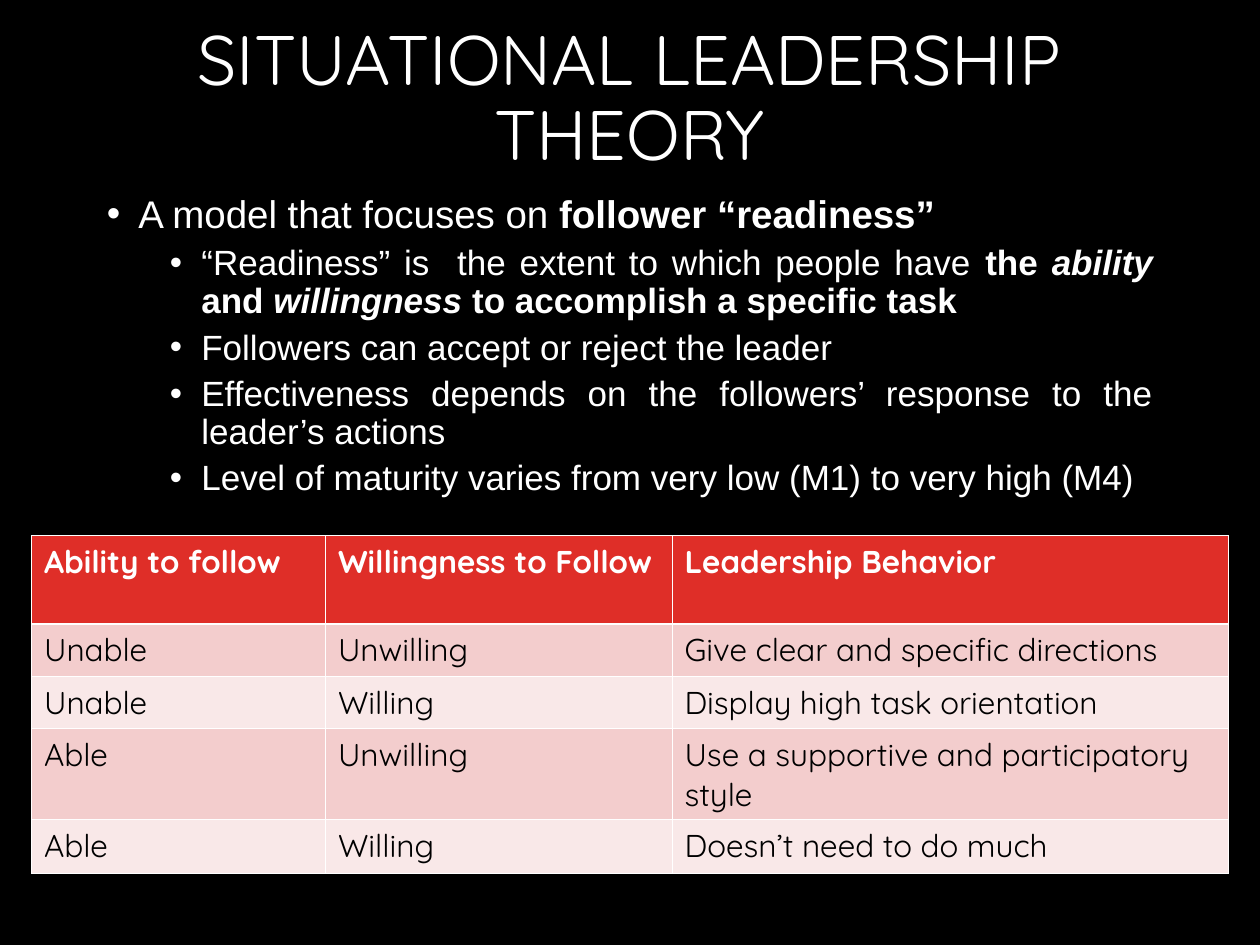
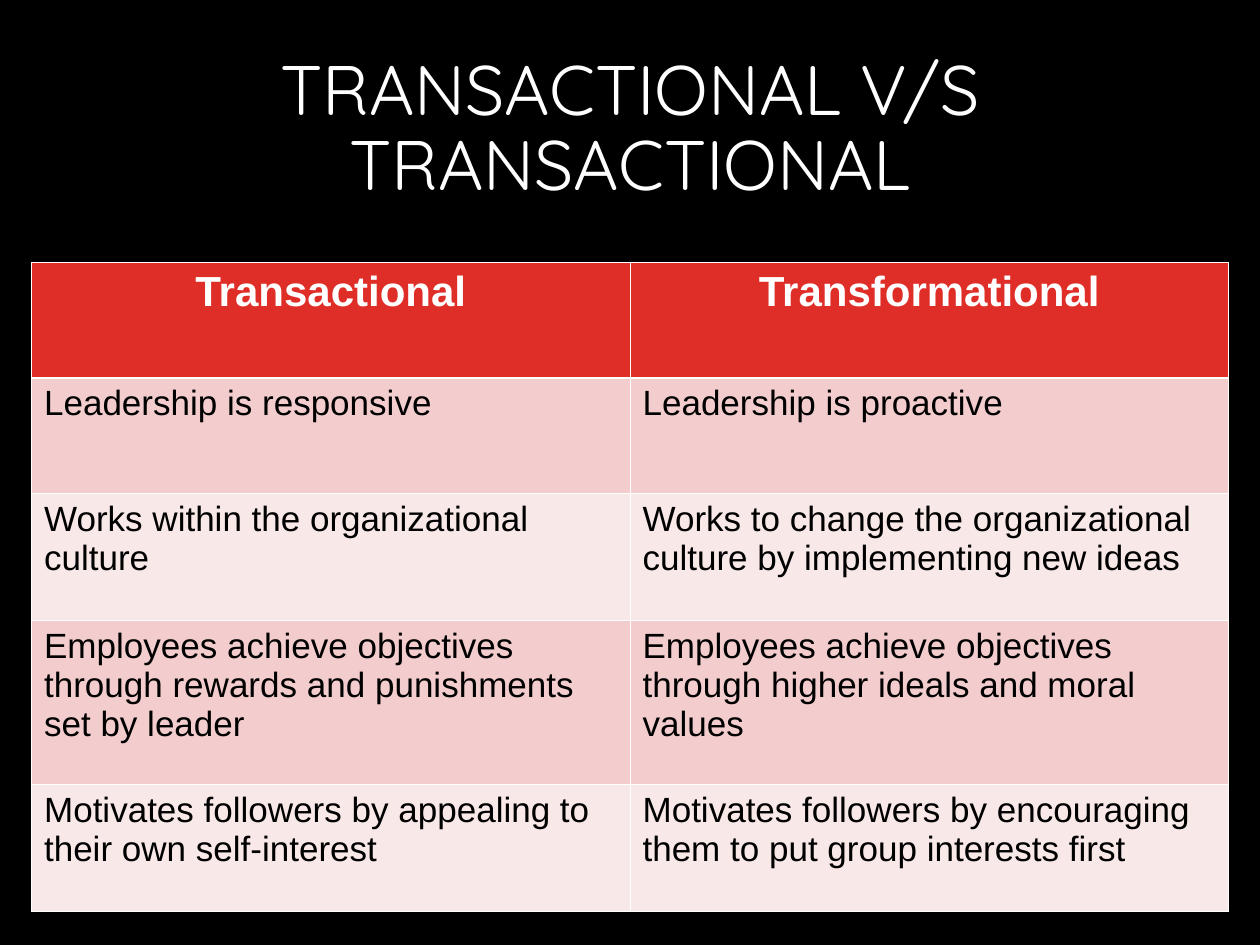
"""Build two slides on leadership theories, each with a title and a table."""
import pptx
import pptx.util
import pptx.oxml
import pptx.oxml.ns
import pptx.dml.color
import pptx.enum.text
import lxml.etree

Pt = pptx.util.Pt
RGBColor = pptx.dml.color.RGBColor
Align = pptx.enum.text.PP_ALIGN
qn = pptx.oxml.ns.qn

BLACK = RGBColor(0x00, 0x00, 0x00)
WHITE = RGBColor(0xFF, 0xFF, 0xFF)
RED = RGBColor(0xDF, 0x2E, 0x28)
ROSE = RGBColor(0xF3, 0xCD, 0xCD)
PALE = RGBColor(0xF9, 0xE8, 0xE8)
SANS = "Arial"
ROUND = "Quicksand"

titles = [
    ("SITUATIONAL LEADERSHIP THEORY", (28.8, 6.5, 661.7, 101.5)),
    ("TRANSACTIONAL V/S TRANSACTIONAL", (0, 23.8, 720, 101.5)),
]

points = [
    (0, [("A model that focuses on ", ""), ("follower “readiness”", "b")]),
    (1, [("“Readiness” is  the extent to which people have ", ""), ("the ", "b"),
         ("ability", "bi"), (" and ", "b"), ("willingness", "bi"),
         (" to accomplish a specific task", "b")]),
    (1, [("Followers can accept or reject the leader", "")]),
    (1, [("Effectiveness depends on the followers’ response to the leader’s actions", "")]),
    (1, [("Level of maturity varies from very low (M1) to very high (M4)", "")]),
]

grids = [
    dict(top=306, cols=[168, 198, 318], rows=[50.5, 30, 30, 52, 30.5],
         face=ROUND, sizes=(18, 18), head=Align.LEFT, cells=[
             ("Ability to follow", "Willingness to Follow", "Leadership Behavior"),
             ("Unable", "Unwilling", "Give clear and specific directions"),
             ("Unable", "Willing", "Display high task orientation"),
             ("Able", "Unwilling", "Use a supportive and participatory style"),
             ("Able", "Willing", "Doesn’t need to do much")]),
    dict(top=150, cols=[342, 342], rows=[66, 66, 72.5, 94, 72.5],
         face=SANS, sizes=(24, 20), head=Align.CENTER, cells=[
             ("Transactional", "Transformational"),
             ("Leadership is responsive", "Leadership is proactive"),
             ("Works within the organizational culture",
              "Works to change the organizational culture by implementing new ideas"),
             ("Employees achieve objectives through rewards and punishments set by leader",
              "Employees achieve objectives through higher ideals and moral values"),
             ("Motivates followers by appealing to their own self-interest",
              "Motivates followers by encouraging them to put group interests first")]),
]


def style(para, face, size, color, bold=False):
    font = para.font
    font.name = face
    font.size = Pt(size)
    font.bold = bold
    font.color.rgb = color


def add_text(slide, box):
    frame = slide.shapes.add_textbox(*[Pt(v) for v in box]).text_frame
    frame.word_wrap = True
    return frame


deck = pptx.Presentation()
deck.slide_width = Pt(720)
deck.slide_height = Pt(540)

for (title, box), grid in zip(titles, grids):
    slide = deck.slides.add_slide(deck.slide_layouts[6])
    slide.background.fill.solid()
    slide.background.fill.fore_color.rgb = BLACK

    frame = add_text(slide, box)
    frame.vertical_anchor = pptx.enum.text.MSO_ANCHOR.MIDDLE
    para = frame.paragraphs[0]
    para.text = title
    para.alignment = Align.CENTER
    para.line_spacing = 0.9
    style(para, ROUND, 40, WHITE)

    count = len(grid["rows"])
    table = slide.shapes.add_table(
        count, len(grid["cols"]), Pt(18), Pt(grid["top"]),
        Pt(sum(grid["cols"])), Pt(sum(grid["rows"]))).table
    for col, width in zip(table.columns, grid["cols"]):
        col.width = Pt(width)
    for row, high in enumerate(grid["rows"]):
        table.rows[row].height = Pt(high)
        top = row == 0
        for col, text in enumerate(grid["cells"][row]):
            cell = table.cell(row, col)
            cell.fill.solid()
            cell.fill.fore_color.rgb = RED if top else ROSE if row % 2 else PALE
            para = cell.text_frame.paragraphs[0]
            para.text = text
            para.alignment = grid["head"] if top else Align.LEFT
            style(para, grid["face"], grid["sizes"][not top], WHITE if top else BLACK, top)
            props = cell._tc.get_or_add_tcPr()
            for place, side in enumerate("LRTB"):
                thick = (row, side) in ((0, "B"), (1, "T"))
                line = lxml.etree.Element(qn("a:ln" + side), w=str(Pt(1.47 if thick else 0.45)))
                fill = lxml.etree.SubElement(line, qn("a:solidFill"))
                lxml.etree.SubElement(fill, qn("a:srgbClr"), val=str(WHITE))
                props.insert(place, line)

frame = add_text(deck.slides[0], (54, 108, 612, 198))
for place, (level, runs) in enumerate(points):
    para = frame.add_paragraph() if place else frame.paragraphs[0]
    para.level = level
    para.alignment = Align.JUSTIFY
    para.line_spacing = 0.9
    para.space_before = Pt(5 if level else 10)
    props = para._p.get_or_add_pPr()
    props.set("marL", str(Pt(18 + 36 * level)))
    props.set("indent", str(Pt(-18)))
    tint = lxml.etree.SubElement(props, qn("a:buClr"))
    lxml.etree.SubElement(tint, qn("a:srgbClr"), val=str(WHITE))
    lxml.etree.SubElement(props, qn("a:buFont"), typeface=SANS)
    lxml.etree.SubElement(props, qn("a:buChar"), char="•")
    style(para, SANS, 20 if level else 22, WHITE)
    for text, marks in runs:
        run = para.add_run()
        run.text = text
        if "b" in marks:
            run.font.bold = True
        if "i" in marks:
            run.font.italic = True

deck.save("out.pptx")
